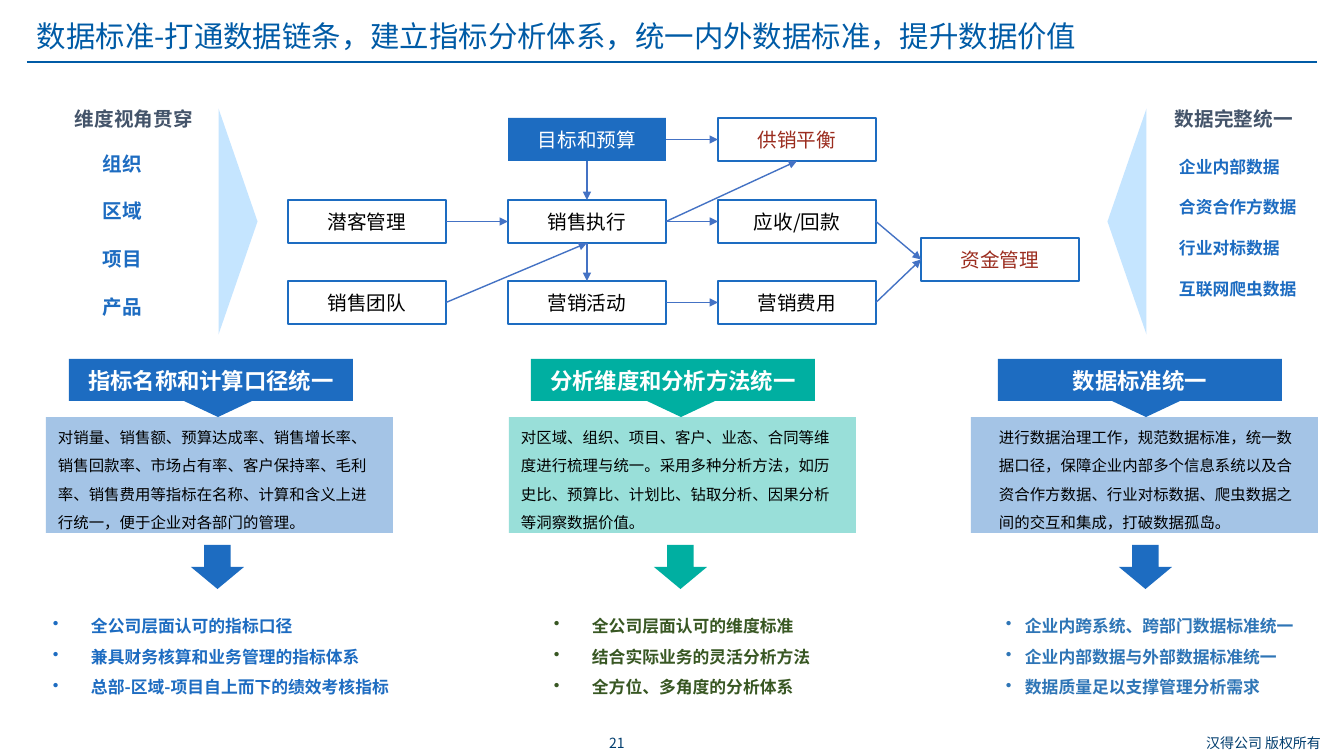
from lxml import etree
from pptx import Presentation, util as u
from pptx.dml.color import RGBColor
from pptx.enum import shapes, text
from pptx.oxml.ns import qn

PX = 914400 / 100.8
FONT = "Noto Sans CJK SC"
LINE_HEIGHT = 1.22
COLORS = {
    "blue": "1D6CC1", "teal": "00AFA1", "sky": "C5E5FF", "title": "005BA6",
    "footer": "003D6E", "slate": "44546A", "red": "9B2D1F", "green": "385723",
    "steel": "2E75B6", "arrow": "4472C4", "black": "000000", "white": "FFFFFF",
}
SHAPE = shapes.MSO_SHAPE
CENTER, LEFT = text.PP_ALIGN.CENTER, text.PP_ALIGN.LEFT
MIDDLE, TOP = text.MSO_ANCHOR.MIDDLE, text.MSO_ANCHOR.TOP


def px(*lengths):
    return [u.Emu(round(length * PX)) for length in lengths]


def write(box, lines, size, color, bold=False, align=LEFT, anchor=TOP, wrap=True,
          inset=(10, 5), spacing=1, gap=0, margin=0, hang=0):
    """Fill a box with paragraphs; a hang above zero makes them bullets."""
    frame = box.text_frame
    side, edge = px(*inset)
    frame_format = {
        "word_wrap": wrap, "auto_size": text.MSO_AUTO_SIZE.NONE, "vertical_anchor": anchor,
        "margin_left": side, "margin_right": side, "margin_top": edge, "margin_bottom": edge,
    }
    for name, value in frame_format.items():
        setattr(frame, name, value)
    for index, line in enumerate(lines):
        para = frame.add_paragraph() if index else frame.paragraphs[0]
        properties = para._p.get_or_add_pPr()
        left, indent = px(margin, -hang)
        properties.set("marL", str(left))
        properties.set("indent", str(indent))
        if hang:
            etree.SubElement(properties, qn("a:buChar")).set("char", "•")
        para.alignment = align
        para.line_spacing = u.Pt(round(size * LINE_HEIGHT * spacing, 1))
        para.space_before = u.Pt(gap if index else 0)
        span = para.add_run()
        span.text = line
        for name, value in {"name": FONT, "size": u.Pt(size), "bold": bold}.items():
            setattr(span.font, name, value)
        span.font.color.rgb = RGBColor.from_string(COLORS[color])
        etree.SubElement(span._r.get_or_add_rPr(), qn("a:ea")).set("typeface", FONT)


def add_block(kind, place, fill=None, line=None, rotation=0, alpha=None):
    block = page.shapes.add_shape(kind, *px(*place))
    block.shadow.inherit = False
    block.rotation = rotation
    if fill:
        block.fill.solid()
        block.fill.fore_color.rgb = RGBColor.from_string(COLORS[fill])
    else:
        block.fill.background()
    if alpha:
        tint = block.fill._xPr.find(".//" + qn("a:srgbClr"))
        etree.SubElement(tint, qn("a:alpha")).set("val", str(alpha * 1000))
    if line:
        block.line.color.rgb = RGBColor.from_string(COLORS[line])
        block.line.width = u.Pt(1)
    else:
        block.line.fill.background()
    return block


deck = Presentation()
deck.slide_width, deck.slide_height = px(1344, 756)
page = deck.slides.add_slide(deck.slide_layouts[5])

# Title, rule and footer
title = page.shapes.title
title.left, title.top, title.width, title.height = px(27, 15, 1217, 42)
write(title, ["数据标准-打通数据链条，建立指标分析体系，统一内外数据标准，提升数据价值"],
      21, "title", spacing=0.93)
rule = page.shapes.add_connector(shapes.MSO_CONNECTOR.STRAIGHT, *px(27, 62, 1317, 62))
rule.line.color.rgb = RGBColor.from_string(COLORS["title"])
rule.line.width = u.Pt(0.75)
etree.SubElement(rule._element.spPr, qn("a:effectLst"))
for place, words in [((582, 729, 70, 27), "21"), ((1183, 729, 161, 27), "汉得公司 版权所有")]:
    write(page.shapes.add_textbox(*px(*place)), [words], 10, "footer",
          align=CENTER, anchor=MIDDLE)

# Side lists and the wedges that point at the flow
for x, rotation in [(125, 90), (1014, 270)]:
    add_block(SHAPE.ISOSCELES_TRIANGLE, (x, 202, 226, 39), "sky", rotation=rotation)
for x, heading in [(49, "维度视角贯穿"), (1149, "数据完整统一")]:
    write(page.shapes.add_textbox(*px(x, 90, 155, 45)), [heading], 14, "slate", bold=True,
          wrap=False, spacing=1.5, margin=16)
for place, items, size in [
    ((93, 146, 59, 176), ["组织", "区域", "项目", "产品"], 14),
    ((1169, 151, 139, 173),
     ["企业内部数据", "合资合作方数据", "行业对标数据", "互联网爬虫数据"], 12),
]:
    write(page.shapes.add_textbox(*px(*place)), items, size, "blue", bold=True,
          wrap=False, gap=round(size * LINE_HEIGHT, 1))

# Flow of business steps
COLUMNS, ROWS = (288, 508, 718), (118, 200, 281)
steps = {}
for name, x, y, color in [
    ("目标和预算", COLUMNS[1], ROWS[0], "white"),
    ("供销平衡", COLUMNS[2], ROWS[0], "red"),
    ("潜客管理", COLUMNS[0], ROWS[1], "black"),
    ("销售执行", COLUMNS[1], ROWS[1], "black"),
    ("应收/回款", COLUMNS[2], ROWS[1], "black"),
    ("销售团队", COLUMNS[0], ROWS[2], "black"),
    ("营销活动", COLUMNS[1], ROWS[2], "black"),
    ("营销费用", COLUMNS[2], ROWS[2], "black"),
    ("资金管理", 921, 238, "red"),
]:
    filled = color == "white"
    steps[name] = add_block(SHAPE.RECTANGLE, (x, y, 158, 43), fill="blue" if filled else None,
                            line=None if filled else "blue")
    write(steps[name], [name], 14, color, align=CENTER, anchor=MIDDLE, inset=(4, 4))

for start, start_side, end, end_side in [
    ("目标和预算", 3, "供销平衡", 1),
    ("目标和预算", 2, "销售执行", 0),
    ("潜客管理", 3, "销售执行", 1),
    ("销售团队", 3, "销售执行", 2),
    ("销售执行", 3, "供销平衡", 2),
    ("销售执行", 3, "应收/回款", 1),
    ("销售执行", 2, "营销活动", 0),
    ("营销活动", 3, "营销费用", 1),
    ("应收/回款", 3, "资金管理", 1),
    ("营销费用", 3, "资金管理", 1),
]:
    arrow = page.shapes.add_connector(shapes.MSO_CONNECTOR.STRAIGHT, 0, 0, 0, 0)
    arrow.begin_connect(steps[start], start_side)
    arrow.end_connect(steps[end], end_side)
    arrow.line.color.rgb = RGBColor.from_string(COLORS["arrow"])
    arrow.line.width = u.Pt(1)
    etree.SubElement(arrow.line._get_or_add_ln(), qn("a:tailEnd")).set("type", "triangle")
    etree.SubElement(arrow._element.spPr, qn("a:effectLst"))

# Three pillars: heading, explanation, results
for center, body_x, head_x, fill, heading, body, margin, results in [
    (218, 46, 69, "blue", "指标名称和计算口径统一",
     "对销量、销售额、预算达成率、销售增长率、销售回款率、市场占有率、客户保持率、毛利率、"
     "销售费用等指标在名称、计算和含义上进行统一，便于企业对各部门的管理。", 0,
     (43, 362, "blue", 38, 38,
      ["全公司层面认可的指标口径", "兼具财务核算和业务管理的指标体系",
       "总部-区域-项目自上而下的绩效考核指标"])),
    (681, 509, 531, "teal", "分析维度和分析方法统一",
     "对区域、组织、项目、客户、业态、合同等维度进行梳理与统一。采用多种分析方法，"
     "如历史比、预算比、计划比、钻取分析、因果分析等洞察数据价值。", 0,
     (544, 279, "green", 38, 38,
      ["全公司层面认可的维度标准", "结合实际业务的灵活分析方法", "全方位、多角度的分析体系"])),
    (1146, 971, 998, "blue", "数据标准统一",
     "进行数据治理工作，规范数据标准，统一数据口径，保障企业内部多个信息系统以及"
     "合资合作方数据、行业对标数据、爬虫数据之间的交互和集成，打破数据孤岛。", 16,
     (980, 336, "steel", 35, 19,
      ["企业内跨系统、跨部门数据标准统一", "企业内部数据与外部数据标准统一",
       "数据质量足以支撑管理分析需求"])),
]:
    panel = add_block(SHAPE.RECTANGLE, (body_x, 417, 347, 116), fill, alpha=40)
    write(panel, [body], 11, "black", anchor=MIDDLE, inset=(12, 4), spacing=1.5, margin=margin)
    banner = add_block(SHAPE.RECTANGLE, (head_x, 359, 284, 42), fill)
    write(banner, [heading], 16, "white", bold=True, align=CENTER, anchor=MIDDLE, inset=(4, 4))
    add_block(SHAPE.ISOSCELES_TRIANGLE, (center - 36, 400, 72, 17), fill, rotation=180)
    add_block(SHAPE.DOWN_ARROW, (center - 27, 545, 53, 44), fill)
    x, width, color, indent, hang, items = results
    write(page.shapes.add_textbox(*px(x, 600, width, 102)), items, 12, color, bold=True,
          spacing=1.5, margin=indent, hang=hang)

deck.save("out.pptx")
